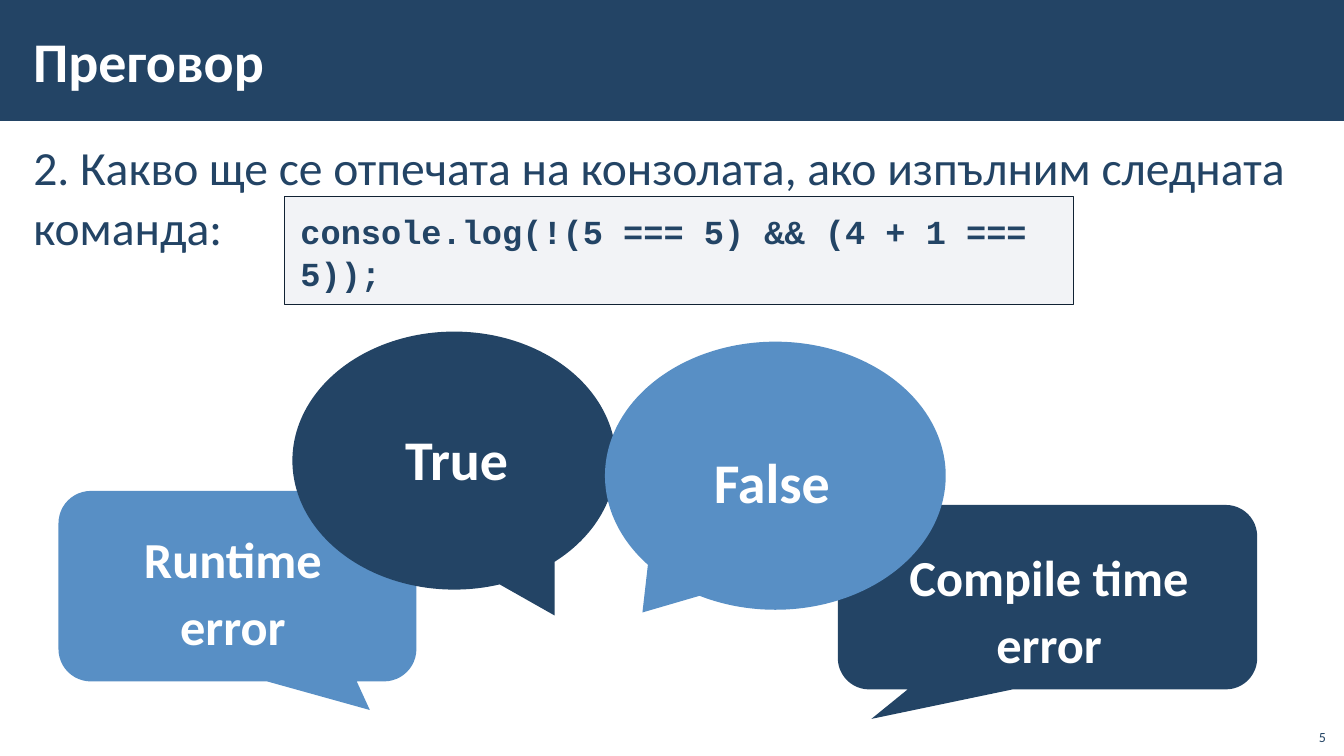
from lxml.etree import SubElement
from pptx import Presentation
from pptx.dml.color import RGBColor
from pptx.enum.shapes import MSO_SHAPE as Shape
from pptx.enum.text import MSO_ANCHOR as Anchor, PP_ALIGN as Align
from pptx.oxml.ns import qn
from pptx.util import Pt

PX = 9144  # 100 px to the inch
WIDTH, HEIGHT = 1333, 750

NAVY = RGBColor(0x23, 0x44, 0x65)
BLUE = RGBColor(0x58, 0x8F, 0xC5)
WHITE = RGBColor(0xFF, 0xFF, 0xFF)
CODE_FILL = RGBColor(0xAD, 0xB4, 0xC3)
CODE_LINE = RGBColor(0x11, 0x22, 0x33)

BODY_INSETS = (12, 4, 12, 4)
BOX_INSETS = (16, 12, 16, 12)


class SlideBuilder:
    """Holds the shared style and the slide being built."""

    font_name = "Calibri"
    code_font = "Courier New"

    def __init__(self, deck):
        self.slide = deck.slides.add_slide(deck.slide_layouts[6])

    def shape(self, kind, at, fill, adjust=(), parent=None):
        shapes = (parent or self.slide).shapes
        box = shapes.add_shape(kind, *(n * PX for n in at))
        box.shadow.inherit = False
        box.fill.solid()
        box.fill.fore_color.rgb = fill
        box.line.fill.background()
        for index, value in enumerate(adjust):
            box.adjustments[index] = value
        return box

    def set_text(self, box, text, insets, anchor=Anchor.TOP, layout=None, **font):
        frame = box.text_frame
        frame.word_wrap = True
        frame.vertical_anchor = anchor
        sides = ("margin_left", "margin_top", "margin_right", "margin_bottom")
        for side, inset in zip(sides, insets):
            setattr(frame, side, inset * PX)
        para = frame.paragraphs[0]
        for name, value in ({"alignment": Align.LEFT} | (layout or {})).items():
            setattr(para, name, value)
        span = para.add_run()
        span.text = text
        color = font.pop("color", NAVY)
        for name, value in ({"name": self.font_name} | font).items():
            setattr(span.font, name, value)
        span.font.color.rgb = color

    def text(self, text, at, insets, parent=None, **style):
        shapes = (parent or self.slide).shapes
        box = shapes.add_textbox(*(n * PX for n in at))
        self.set_text(box, text, insets, **style)

    def code(self, text, at):
        box = self.shape(Shape.RECTANGLE, at, CODE_FILL)
        color = box.element.spPr.find(".//" + qn("a:srgbClr"))
        SubElement(color, qn("a:alpha"), val="15000")
        box.line.color.rgb = CODE_LINE
        box.line.width = Pt(1)
        self.set_text(box, text, BOX_INSETS, layout={"line_spacing": 1.05},
                      name=self.code_font, size=Pt(24), bold=True)

    def answer(self, text, kind, at, adjust, fill, label_at, size,
               insets=BOX_INSETS, layout=None):
        group = self.slide.shapes.add_group_shape()
        self.shape(kind, at, fill, adjust, group)
        self.text(text, label_at, insets, group, layout=layout,
                  size=Pt(size), bold=True, color=WHITE)


def main():
    deck = Presentation()
    deck.slide_width, deck.slide_height = WIDTH * PX, HEIGHT * PX
    page = SlideBuilder(deck)

    # Header band, code and question
    page.shape(Shape.RECTANGLE, (0, 0, WIDTH, 120), NAVY)
    page.code("console.log(!(5 === 5) && (4 + 1 === 5));", (282, 195, 783, 107))
    page.text("2. Какво ще се отпечата на конзолата, ако изпълним следната команда:",
              (21, 130, 1292, 608), BODY_INSETS, size=Pt(34),
              layout={"line_spacing": 1.05, "space_after": Pt(6)})
    page.text("Преговор", (21, 11, 1063, 97), BODY_INSETS, anchor=Anchor.MIDDLE,
              size=Pt(40), bold=True, color=WHITE)

    # Answer bubbles, from back to front
    rounded, ellipse = Shape.ROUNDED_RECTANGULAR_CALLOUT, Shape.OVAL_CALLOUT
    centered = {"alignment": Align.CENTER, "line_spacing": 1.1}
    page.answer("Runtime error", rounded, (58, 487, 355, 189),
                (0.37, 0.65, 0.17), BLUE, (95, 506, 272, 159), 36, layout=centered)
    page.answer("Compile time error", rounded, (831, 501, 416, 183),
                (-0.42, 0.66, 0.17), NAVY, (863, 524, 355, 154), 36, layout=centered)
    page.answer("True", ellipse, (290, 329, 321, 256),
                (0.31, 0.6), NAVY, (336, 409, 246, 91), 40, insets=(66, 12, 16, 12))
    page.answer("False", ellipse, (600, 339, 338, 266),
                (-0.39, 0.51), BLUE, (692, 425, 197, 96), 40,
                layout={"line_spacing": 1.1})

    # Page number
    page.text("5", (1285, 712, 40, 32), (10, 5, 10, 5), anchor=Anchor.BOTTOM,
              layout={"alignment": Align.RIGHT}, size=Pt(10))

    deck.save("out.pptx")


if __name__ == "__main__":
    main()
